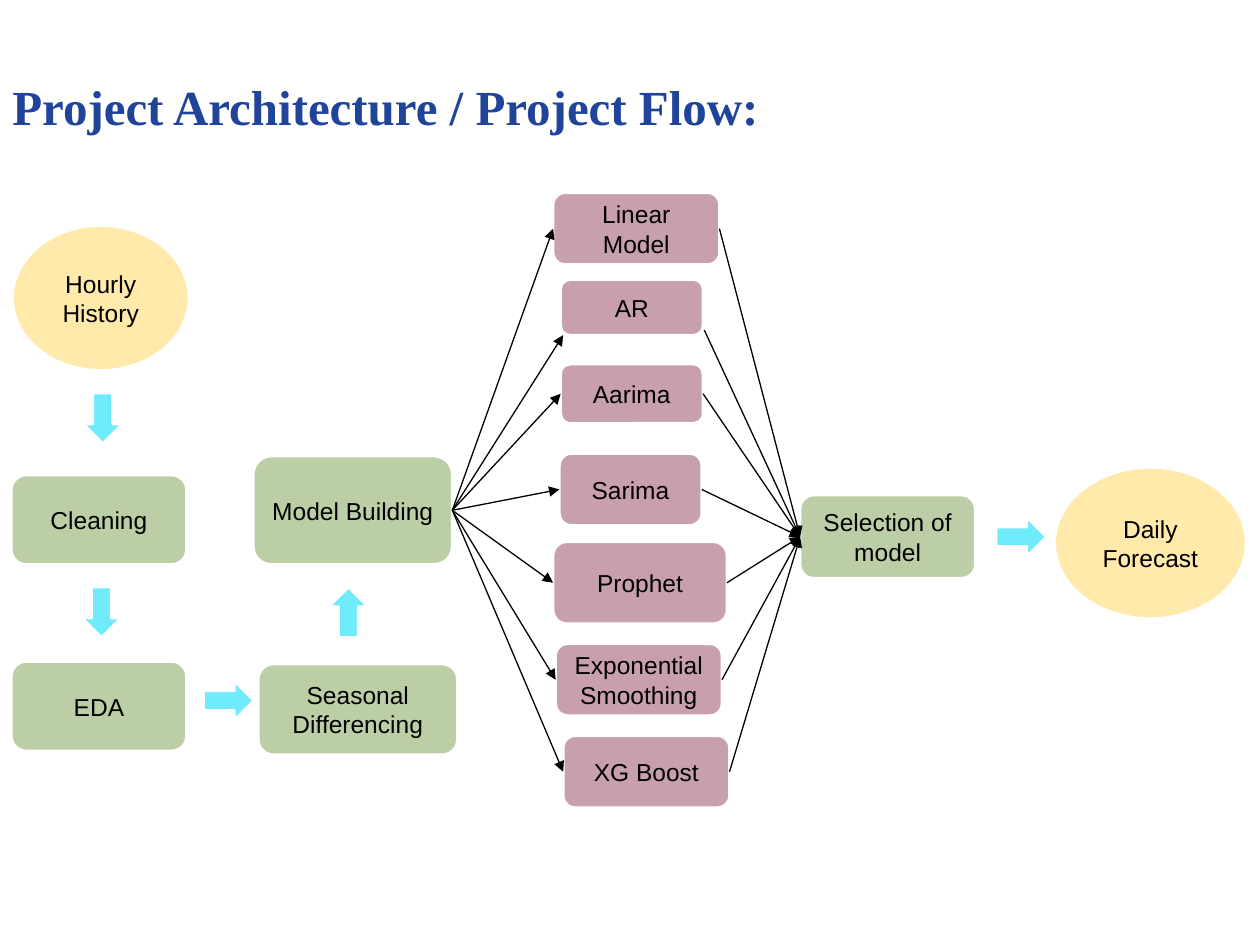
from lxml import etree
from pptx import Presentation
from pptx.dml.color import RGBColor
from pptx.enum.shapes import MSO_CONNECTOR, MSO_SHAPE
from pptx.enum.text import MSO_ANCHOR, MSO_AUTO_SIZE, PP_ALIGN
from pptx.oxml.ns import qn
from pptx.util import Pt

PX = 9144  # 100 px to the inch
LEFT, RIGHT = 1, 3  # connection sites
STRAIGHT = MSO_CONNECTOR.STRAIGHT
OVAL, ROUNDED, ARROW = MSO_SHAPE.OVAL, MSO_SHAPE.ROUNDED_RECTANGLE, MSO_SHAPE.DOWN_ARROW
CENTER, MIDDLE = PP_ALIGN.CENTER, MSO_ANCHOR.MIDDLE
FIT_SHAPE = MSO_AUTO_SIZE.SHAPE_TO_FIT_TEXT

BLUE = RGBColor(0x21, 0x44, 0x9B)
YELLOW = RGBColor(0xFF, 0xE9, 0xAB)
GREEN = RGBColor(0xBC, 0xCE, 0xA6)
PINK = RGBColor(0xC8, 0xA0, 0xAB)
CYAN = RGBColor(0x70, 0xEB, 0xFC)
WHITE = RGBColor(0xFF, 0xFF, 0xFF)
BLACK = RGBColor(0, 0, 0)

TITLE_FONT = {"name": "Times New Roman", "size": Pt(28), "bold": True}
LABEL_FONT = {"name": "Arial", "size": Pt(14)}

deck = Presentation()
deck.slide_width, deck.slide_height = 1000 * PX, 750 * PX
page = deck.slides.add_slide(deck.slide_layouts[6])


def add_node(kind, color, left, top, width, height, label=""):
    """Add a filled, white-edged shape; each line of the label is a paragraph."""
    node = page.shapes.add_shape(kind, left * PX, top * PX, width * PX, height * PX)
    node.shadow.inherit = False
    node.fill.solid()
    node.fill.fore_color.rgb = color
    node.line.color.rgb = WHITE
    node.line.width = Pt(1.5)
    if label:
        node.text_frame.text = label
        node.text_frame.word_wrap = True
        node.text_frame.vertical_anchor = MIDDLE
        for para in node.text_frame.paragraphs:
            para.alignment = CENTER
            para.font.color.rgb = BLACK
            for key, value in LABEL_FONT.items():
                setattr(para.font, key, value)
    return node


def add_link(start, end, start_point=None, end_point=None):
    """Link right side to left side, unless a free point is given for an end."""
    x1, y1 = start_point or (0, 0)
    x2, y2 = end_point or (0, 0)
    link = page.shapes.add_connector(STRAIGHT, x1 * PX, y1 * PX, x2 * PX, y2 * PX)
    if not start_point:
        link.begin_connect(start, RIGHT)
    if not end_point:
        link.end_connect(end, LEFT)
    link.line.color.rgb = BLACK
    link.line.width = Pt(0.75)
    etree.SubElement(link.line._get_or_add_ln(), qn("a:tailEnd"), type="triangle")
    etree.SubElement(link._element.spPr, qn("a:effectLst"))


title = page.shapes.add_textbox(0, 56 * PX, 671 * PX, 57 * PX)
title.text_frame.word_wrap = True
title.text_frame.auto_size = FIT_SHAPE
title.text_frame.text = "Project Architecture / Project Flow:"
title_font = title.text_frame.paragraphs[0].runs[0].font
title_font.color.rgb = BLUE
for key, value in TITLE_FONT.items():
    setattr(title_font, key, value)

add_node(OVAL, YELLOW, 10, 179, 140, 115, "Hourly\nHistory")
add_node(ROUNDED, GREEN, 9, 377, 139, 71, "Cleaning")
add_node(ROUNDED, GREEN, 9, 525, 139, 71, "EDA")
add_node(ROUNDED, GREEN, 205, 527, 158, 72, "Seasonal\nDifferencing")
building = add_node(ROUNDED, GREEN, 201, 362, 158, 86, "Model Building")
selection = add_node(ROUNDED, GREEN, 635, 393, 139, 66, "Selection of model")
add_node(OVAL, YELLOW, 837, 371, 152, 120, "Daily\nForecast")

# Flow arrows: left, top, rotation
for left, top, turn in [(66, 312, 0), (65, 466, 0), (166, 536, 270),
                        (261, 466, 180), (795, 406, 270)]:
    add_node(ARROW, CYAN, left, top, 31, 40).rotation = turn

# Candidate models: label, box, free link ends (into, out of) where not at mid-side
MODELS = [
    ("Linear Model", (439, 153, 132, 57), None, None),
    ("AR", (445, 222, 113, 44), (447, 266), (559, 262)),
    ("Aarima", (445, 289, 113, 47), None, None),
    ("Sarima", (444, 360, 113, 57), None, None),
    ("Prophet", (439, 430, 138, 65), None, None),
    ("Exponential Smoothing", (441, 511, 132, 57), None, None),
    ("XG Boost", (447, 584, 132, 57), None, None),
]
for label, box, entry, leave in MODELS:
    model = add_node(ROUNDED, PINK, *box, label)
    add_link(building, model, end_point=entry)
    add_link(model, selection, start_point=leave)

deck.save("out.pptx")
